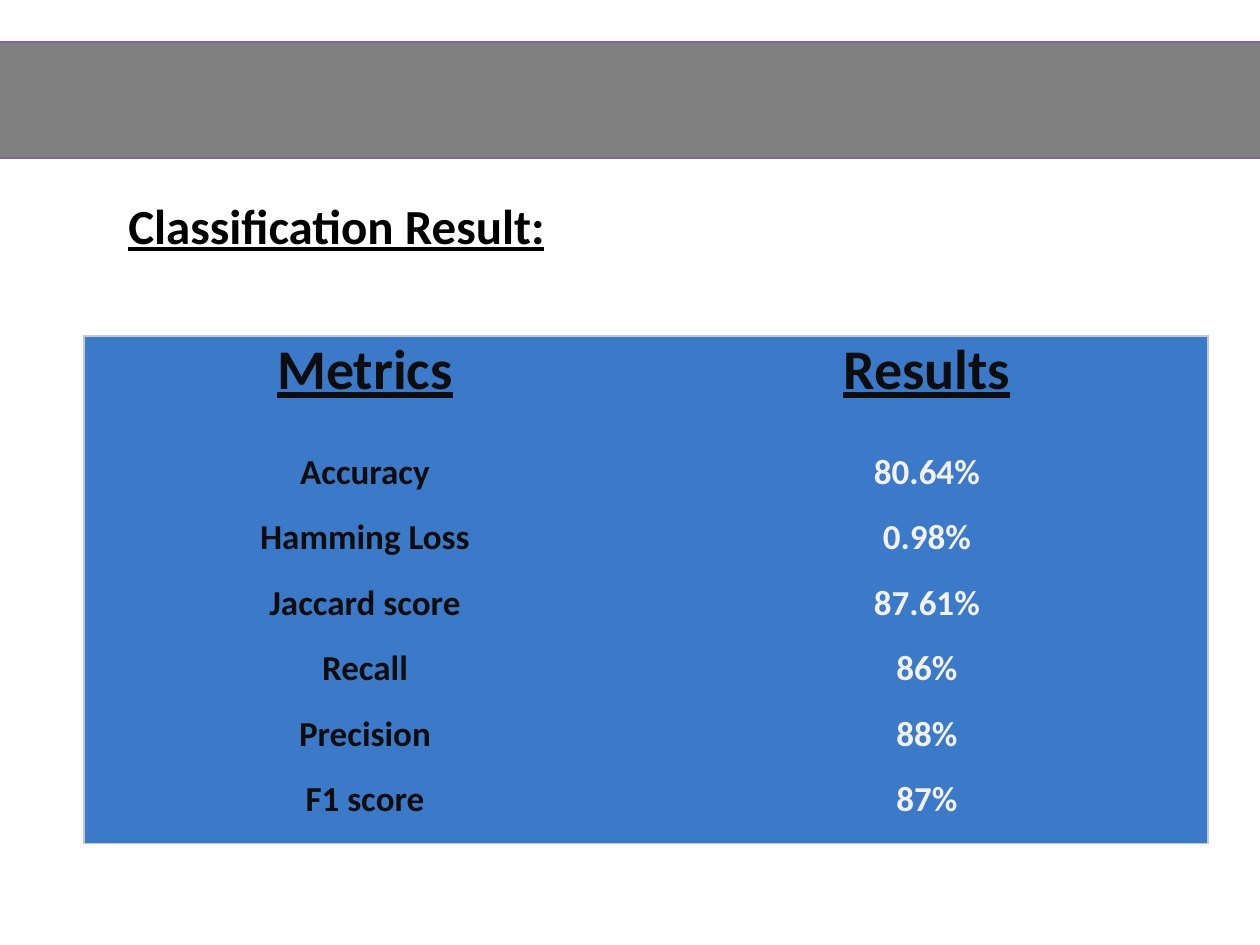
"""Build the classification result slide with its metrics table."""
import lxml.etree
import pptx
import pptx.dml.color
import pptx.enum.shapes
import pptx.enum.text
import pptx.oxml.ns
import pptx.util

HEADING = "Classification Result:"
HEADER = ("Metrics", "Results")
SCORES = [
    ("Accuracy", "80.64%"),
    ("Hamming Loss", "0.98%"),
    ("Jaccard score", "87.61%"),
    ("Recall", "86%"),
    ("Precision", "88%"),
    ("F1 score", "87%"),
]
THEME = {
    "font": "Calibri",
    "band": "808080",
    "band_edge": "8064A2",
    "table": "3B79C9",
    "border": "BDC8DD",
    "heading": "000000",
    "dark": "0D0D0D",
    "light": "F2F2F2",
    "heading_size": 28,
    "header_size": 32,
    "score_size": 20,
}
SLIDE = (1260, 945)
BAND = (-31, 42, 1315, 116)
TABLE = (84, 336, 1124, 508)
HEADING_BOX = (116, 189, 640, 72)
HEADER_HEIGHT = 115
CELL_INSET = 9
NO_GRID_STYLE = "{2D5ABB26-0587-4C30-8999-92F81FD0307C}"


def px(length):
    return pptx.util.Emu(round(length * 914400 / 126))


def place(box):
    return [px(length) for length in box]


def color(name):
    return pptx.dml.color.RGBColor.from_string(THEME[name])


def style(paragraph, size, ink, underline):
    font = paragraph.font
    font.name = THEME["font"]
    font.size = pptx.util.Pt(THEME[size])
    font.bold = True
    font.underline = underline
    font.color.rgb = color(ink)


def add_border(cell, side):
    qn = pptx.oxml.ns.qn
    edge = lxml.etree.SubElement(
        cell._tc.get_or_add_tcPr(), qn(f"a:ln{side}"), w=str(pptx.util.Pt(0.75))
    )
    fill = lxml.etree.SubElement(edge, qn("a:solidFill"))
    lxml.etree.SubElement(fill, qn("a:srgbClr"), val=THEME["border"])


def add_band(slide):
    band = slide.shapes.add_shape(pptx.enum.shapes.MSO_SHAPE.RECTANGLE, *place(BAND))
    band.shadow.inherit = False
    band.fill.solid()
    band.fill.fore_color.rgb = color("band")
    band.line.color.rgb = color("band_edge")
    band.line.width = pptx.util.Pt(1)


def add_metrics(slide):
    rows = [HEADER, *SCORES]
    last_row, last_column = len(rows) - 1, len(HEADER) - 1
    table = slide.shapes.add_table(len(rows), len(HEADER), *place(TABLE)).table
    table._tbl.tblPr.find(pptx.oxml.ns.qn("a:tableStyleId")).text = NO_GRID_STYLE
    table.horz_banding = False
    for r, texts in enumerate(rows):
        is_header = r == 0
        score_height = (TABLE[3] - HEADER_HEIGHT) / len(SCORES)
        table.rows[r].height = px(HEADER_HEIGHT if is_header else score_height)
        for c, text in enumerate(texts):
            cell = table.cell(r, c)
            cell.text = text
            cell.margin_left = cell.margin_right = px(CELL_INSET)
            cell.margin_top = cell.margin_bottom = 0
            outer = {"L": c == 0, "R": c == last_column, "T": is_header, "B": r == last_row}
            for side, is_outer in outer.items():
                if is_outer:
                    add_border(cell, side)
            cell.fill.solid()
            cell.fill.fore_color.rgb = color("table")
            paragraph = cell.text_frame.paragraphs[0]
            paragraph.alignment = pptx.enum.text.PP_ALIGN.CENTER
            size = "header_size" if is_header else "score_size"
            ink = "dark" if is_header or c == 0 else "light"
            style(paragraph, size, ink, is_header)


def add_heading(slide):
    frame = slide.shapes.add_textbox(*place(HEADING_BOX)).text_frame
    frame.word_wrap = True
    frame.auto_size = pptx.enum.text.MSO_AUTO_SIZE.SHAPE_TO_FIT_TEXT
    frame.text = HEADING
    style(frame.paragraphs[0], "heading_size", "heading", True)


def main():
    deck = pptx.Presentation()
    deck.slide_width, deck.slide_height = place(SLIDE)
    slide = deck.slides.add_slide(deck.slide_layouts[6])
    add_band(slide)
    add_metrics(slide)
    add_heading(slide)
    deck.save("out.pptx")


if __name__ == "__main__":
    main()
